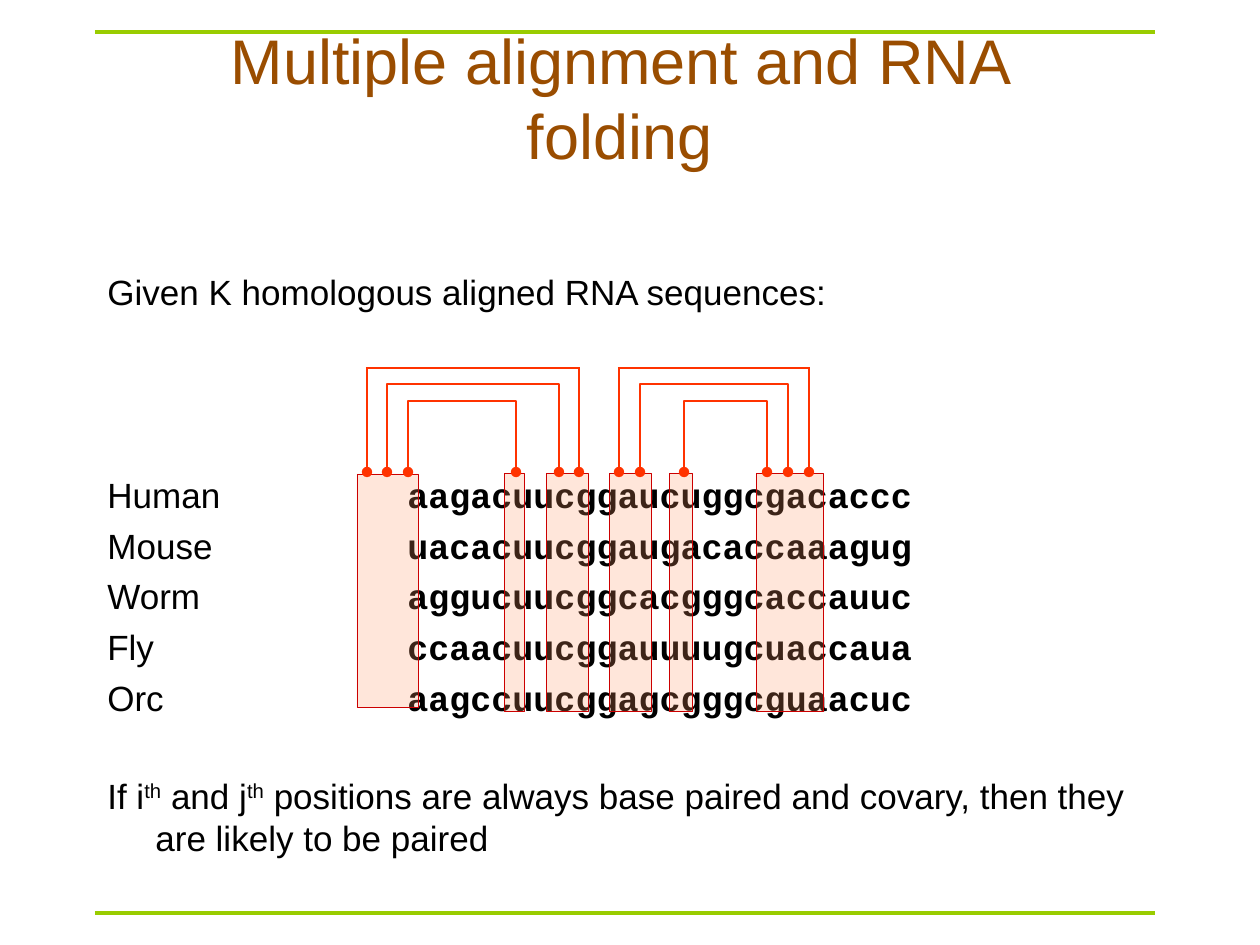
from lxml.etree import SubElement
from pptx import Presentation
from pptx.dml.color import RGBColor
from pptx.enum.shapes import MSO_CONNECTOR as CONN, MSO_SHAPE as SHAPE
from pptx.enum.text import MSO_ANCHOR as ANCHOR, PP_ALIGN as ALIGN
from pptx.oxml.ns import qn
from pptx.util import Pt

PX = 914400 / 126


def emu(*values):
    return [round(v * PX) for v in values]


def rgb(color):
    return RGBColor.from_string(color)


prs = Presentation()
prs.slide_width, prs.slide_height = emu(1260, 945)
s = prs.slides.add_slide(prs.slide_layouts[6])

title = s.shapes.add_textbox(*emu(126, 53, 987, 88))
body = s.shapes.add_textbox(*emu(95, 264, 1061, 599))
for sp in (title, body):
    sp.text_frame.word_wrap = True

tf = title.text_frame
tf.vertical_anchor = ANCHOR.MIDDLE
p = tf.paragraphs[0]
p.alignment = ALIGN.CENTER
r = p.add_run()
r.text = "Multiple alignment and RNA folding"
for key, value in {"name": "Arial", "size": Pt(36)}.items():
    setattr(r.font, key, value)
r.font.color.rgb = rgb("9A4D00")

plain = {"name": "Arial", "size": Pt(20), "bold": False}
mono = {"name": "Courier New", "size": Pt(20), "bold": True}
sequences = [
    ("Human", "aagacuucggaucuggcgacaccc"),
    ("Mouse", "uacacuucggaugacaccaaagug"),
    ("Worm", "aggucuucggcacgggcaccauuc"),
    ("Fly", "ccaacuucggauuuugcuaccaua"),
    ("Orc", "aagccuucggagcgggcguaacuc"),
]
paragraphs = [(0, [("Given K homologous aligned RNA sequences:", plain, 0)])]
for i, (species, bases) in enumerate(sequences):
    paragraphs.append((5 if i else 92, [(species + "\t", plain, 0), (bases, mono, 0)]))
paragraphs.append((32, [
    ("If i", plain, 0), ("th", plain, 30000),
    (" and j", plain, 0), ("th", plain, 30000),
    (" positions are always base paired and covary, then they are likely to be paired", plain, 0),
]))

tf = body.text_frame
for i, (before, runs) in enumerate(paragraphs):
    p = tf.add_paragraph() if i else tf.paragraphs[0]
    p.space_before = Pt(before)
    pPr = p._p.get_or_add_pPr()
    if "\t" in runs[0][0]:
        tabs = SubElement(pPr, qn("a:tabLst"))
        SubElement(tabs, qn("a:tab"), pos=str(emu(300)[0]), algn="l")
    else:
        pPr.set("marL", str(emu(48)[0]))
        pPr.set("indent", str(emu(-48)[0]))
    for text, style, baseline in runs:
        r = p.add_run()
        r.text = text
        for key, value in style.items():
            setattr(r.font, key, value)
        r.font.color.rgb = rgb("000000")
        if baseline:
            r._r.get_or_add_rPr().set("baseline", str(baseline))

columns = [(357, 62, 234), (504, 21, 238), (546, 42, 238),
           (609, 42, 238), (670, 23, 238), (756, 67, 238)]
for x, w, h in columns:
    sp = s.shapes.add_shape(SHAPE.RECTANGLE, *emu(x, 474, w, h))
    sp.shadow.inherit = False
    sp.fill.solid()
    sp.fill.fore_color.rgb = rgb("FF9966")
    color = sp.fill._xPr.find(qn("a:solidFill")).find(qn("a:srgbClr"))
    SubElement(color, qn("a:alpha"), val="24000")
    sp.line.color.rgb = rgb("CC0000")
    sp.line.width = Pt(0.5)

base = 472
lines = [(95, 32, 1155, 32, "99CC00", 2.25, False),
         (95, 913, 1155, 913, "99CC00", 2.25, False)]
for left, right in [(367, 579), (619, 809)]:
    lines.append((left - 1, 368, right + 1, 368, "FF3300", 1.25, False))
    lines += [(x, base, x, 369, "FF3300", 1.25, True) for x in (left, right)]
for x1, y1, x2, y2, color, width, dot in lines:
    sp = s.shapes.add_connector(CONN.STRAIGHT, *emu(x1, y1, x2, y2))
    sp.line.color.rgb = rgb(color)
    sp.line.width = Pt(width)
    if dot:
        SubElement(sp.line._get_or_add_ln(), qn("a:headEnd"), type="oval")
    SubElement(sp._element.spPr, qn("a:effectLst"))

for left, right, top in [(387, 559, 384), (640, 788, 384), (408, 516, 401), (684, 767, 401)]:
    fb = s.shapes.build_freeform(left, base, scale=PX)
    fb.add_line_segments([(left, top), (right, top), (right, base)], close=False)
    sp = fb.convert_to_shape()
    sp.shadow.inherit = False
    sp.fill.background()
    sp.line.color.rgb = rgb("FF3300")
    sp.line.width = Pt(1.25)
    for end in ("a:headEnd", "a:tailEnd"):
        SubElement(sp.line._get_or_add_ln(), qn(end), type="oval")

prs.save("out.pptx")
